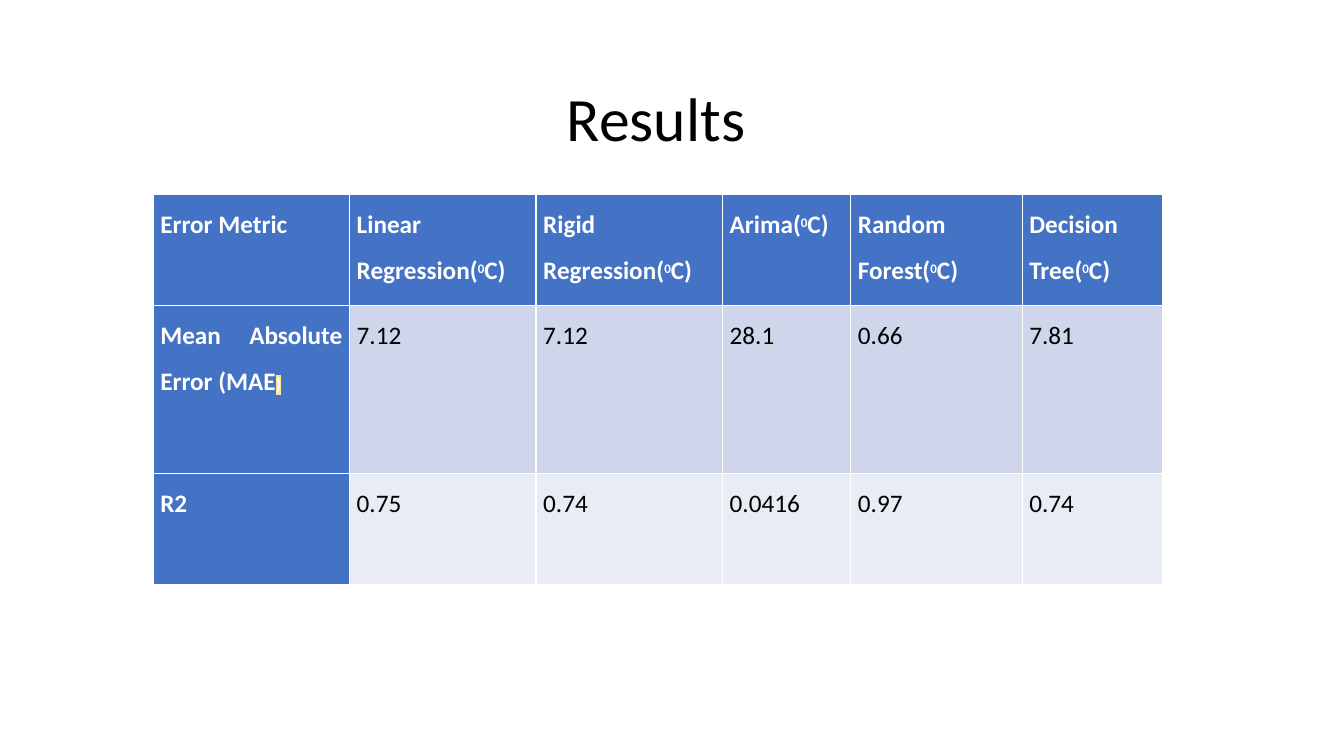
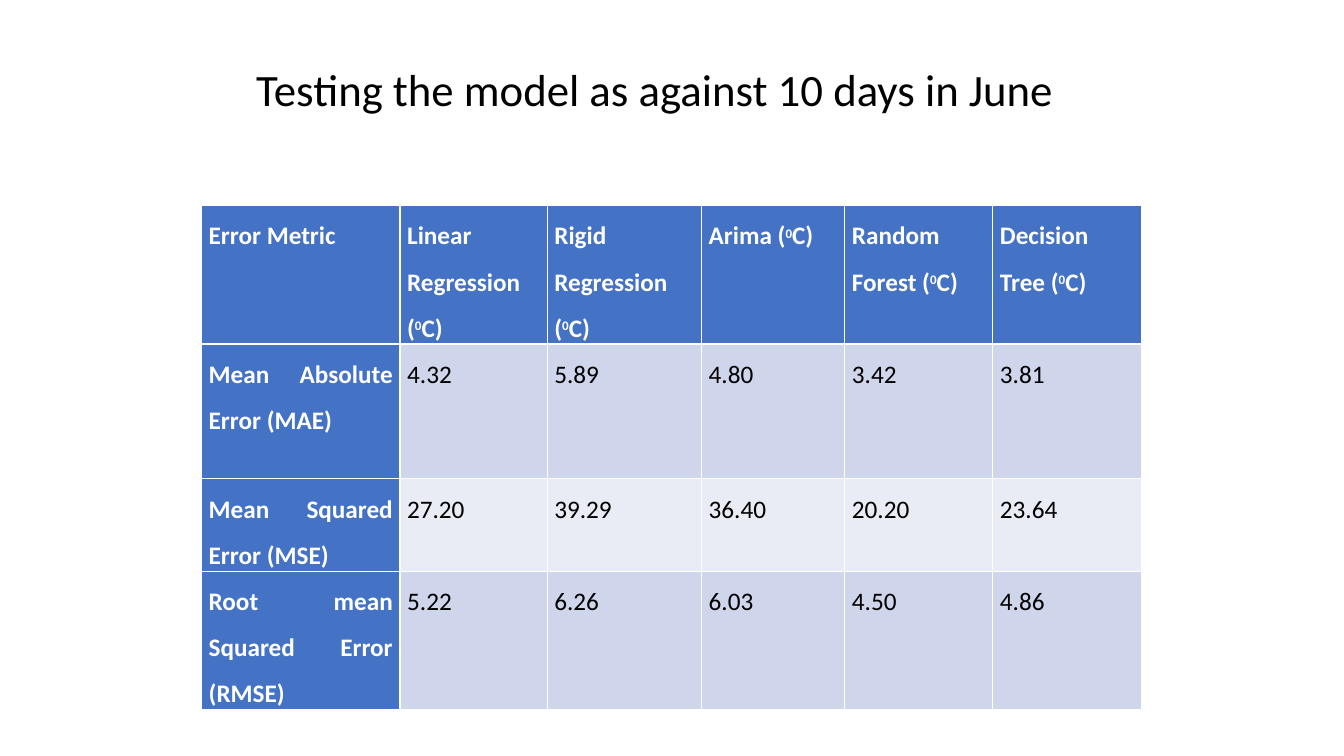
from lxml import etree
from pptx import Presentation
from pptx.dml.color import RGBColor
from pptx.enum.text import MSO_ANCHOR, PP_ALIGN
from pptx.oxml.ns import qn
from pptx.util import Cm, Pt

FONT = "Calibri"
BLACK, WHITE = "000000", "FFFFFF"
HEADER_BLUE = "4472C4"
BANDS = ["CFD5EA", "E9EBF5"]
HIGHLIGHT = "FFE599"
UNIT = ["0", "C)"]

slides = [
    {
        "title": "Results",
        "title_box": (1.93, 1.22, 29.21, 3.68),
        "title_size": 44,
        "title_align": PP_ALIGN.CENTER,
        "title_spacing": 0.9,
        "origin": (3.86, 4.9),
        "widths": [4.95, 4.7, 4.7, 3.23, 4.32, 3.53],
        "heights": [2.79, 4.24, 2.79],
        "unit_gap": "",
        "marked_label": "Mean Absolute Error (MAE)",
        "results": [
            ["Mean Absolute Error (MAE)", "7.12", "7.12", "28.1", "0.66", "7.81"],
            ["R2", "0.75", "0.74", "0.0416", "0.97", "0.74"],
        ],
    },
    {
        "title": "Testing the model as against 10 days in June",
        "title_box": (6.2, 1.42, 21.49, 1.63),
        "title_size": 32,
        "title_align": PP_ALIGN.LEFT,
        "title_spacing": 1.0,
        "origin": (5.08, 5.18),
        "widths": [5.0, 3.71, 3.89, 3.61, 3.73, 3.76],
        "heights": [3.4, 3.4, 2.24, 3.4],
        "unit_gap": " ",
        "marked_label": None,
        "results": [
            ["Mean Absolute Error (MAE)", "4.32", "5.89", "4.80", "3.42", "3.81"],
            ["Mean Squared Error (MSE)", "27.20", "39.29", "36.40", "20.20", "23.64"],
            ["Root mean Squared Error (RMSE)", "5.22", "6.26", "6.03", "4.50", "4.86"],
        ],
    },
]
models = ["Linear Regression", "Rigid Regression", "Arima", "Random Forest", "Decision Tree"]


def rgb(value):
    return RGBColor.from_string(value)


def style_run(run, size, color, bold=False):
    run.font.name = FONT
    run.font.size = Pt(size)
    run.font.color.rgb = rgb(color)
    run.font.bold = bold


prs = Presentation()
prs.slide_width, prs.slide_height = Cm(33.87), Cm(19.05)

for content in slides:
    slide = prs.slides.add_slide(prs.slide_layouts[5])

    title = slide.shapes.title
    title.left, title.top, title.width, title.height = map(Cm, content["title_box"])
    title.text_frame.text = content["title"]
    title.text_frame.vertical_anchor = MSO_ANCHOR.MIDDLE
    heading = title.text_frame.paragraphs[0]
    heading.alignment = content["title_align"]
    heading.line_spacing = content["title_spacing"]
    style_run(heading.runs[0], content["title_size"], BLACK)

    # Each cell is a list of text pieces, so that the degree sign can be raised
    header = [["Error Metric"]]
    header += [[f"{model}{content['unit_gap']}(", *UNIT] for model in models]
    rows = [header] + [[[text] for text in result] for result in content["results"]]

    widths, heights = content["widths"], content["heights"]
    left, top = content["origin"]
    metrics = slide.shapes.add_table(
        len(rows), len(widths), Cm(left), Cm(top), Cm(sum(widths)), Cm(sum(heights))
    ).table
    metrics.first_col = True
    for column, width in zip(metrics.columns, widths):
        column.width = Cm(width)
    for row, height in zip(metrics.rows, heights):
        row.height = Cm(height)

    for r, row in enumerate(rows):
        for c, pieces in enumerate(row):
            is_heading = r == 0 or c == 0
            is_marked = pieces[0] == content["marked_label"]
            if is_marked:
                pieces = [pieces[0][:-1], pieces[0][-1]]

            cell = metrics.cell(r, c)
            cell.fill.solid()
            cell.fill.fore_color.rgb = rgb(HEADER_BLUE if is_heading else BANDS[(r - 1) % 2])
            cell.margin_left = cell.margin_right = Cm(0.18)
            cell.margin_top = cell.margin_bottom = Cm(0)
            paragraph = cell.text_frame.paragraphs[0]
            paragraph.alignment = PP_ALIGN.JUSTIFY
            paragraph.line_spacing = 1.5

            for i, piece in enumerate(pieces):
                run = paragraph.add_run()
                run.text = piece
                style_run(run, 18, WHITE if is_heading else BLACK, is_heading)
                properties = run.font._element
                if i == 1 and is_marked:
                    run.font.size = Pt(12)
                    highlight = etree.Element(qn("a:highlight"))
                    etree.SubElement(highlight, qn("a:srgbClr"), val=HIGHLIGHT)
                    properties.find(qn("a:solidFill")).addnext(highlight)
                elif i == 1:
                    run.font.size = Pt(16)
                    properties.set("baseline", "30000")

prs.save("out.pptx")
